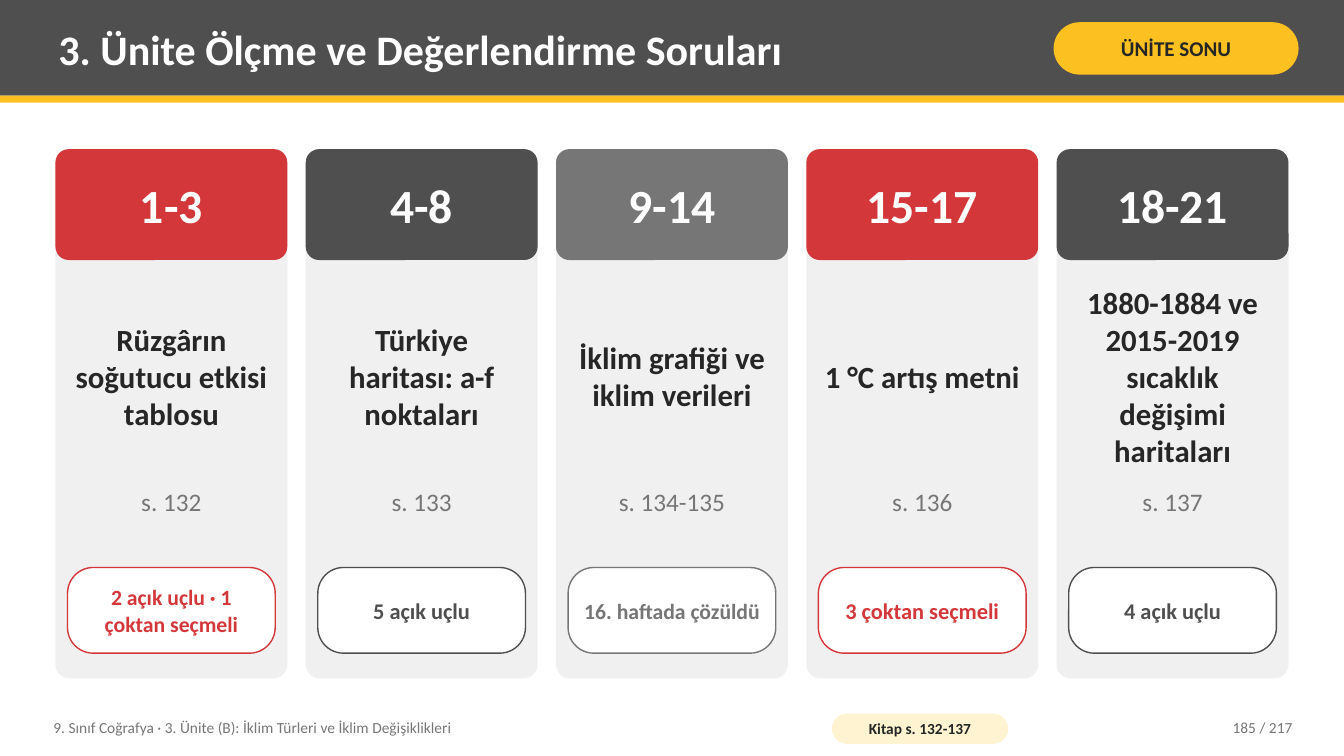
from pptx import Presentation
from pptx import util as u
from pptx.dml.color import RGBColor
from pptx.enum import shapes, text

WHITE = RGBColor(0xFF, 0xFF, 0xFF)
INK = RGBColor(0x26, 0x26, 0x26)
CHARCOAL = RGBColor(0x4F, 0x4F, 0x4F)
GRAY = RGBColor(0x76, 0x76, 0x76)
PALE_GRAY = RGBColor(0xF0, 0xF0, 0xF0)
RED = RGBColor(0xD3, 0x37, 0x3A)
YELLOW = RGBColor(0xFC, 0xC0, 0x21)
CREAM = RGBColor(0xFF, 0xF3, 0xD1)

LEFT, CENTER, RIGHT = text.PP_ALIGN.LEFT, text.PP_ALIGN.CENTER, text.PP_ALIGN.RIGHT
MIDDLE, TOP = text.MSO_ANCHOR.MIDDLE, text.MSO_ANCHOR.TOP

presentation = Presentation()
presentation.slide_width = u.Inches(13.33)
presentation.slide_height = u.Inches(7.5)
slide = presentation.slides.add_slide(presentation.slide_layouts[5])


def add_panel(box, fill, corner=None, outline=None):
    kind = shapes.MSO_SHAPE.RECTANGLE if corner is None else shapes.MSO_SHAPE.ROUNDED_RECTANGLE
    shape = slide.shapes.add_shape(kind, *map(u.Inches, box))
    shape.shadow.inherit = False
    if corner is not None:
        shape.adjustments[0] = corner
    shape.fill.solid()
    shape.fill.fore_color.rgb = fill
    if outline is None:
        shape.line.fill.background()
    else:
        shape.line.color.rgb = outline
        shape.line.width = u.Pt(1)
    return shape


def write(shape, content, size, color, bold=False, align=CENTER, anchor=MIDDLE, inset=(0.08, 0.04)):
    frame = shape.text_frame
    frame.text = content
    across, down = map(u.Inches, inset)
    frame_format = {
        "word_wrap": True, "auto_size": text.MSO_AUTO_SIZE.NONE, "vertical_anchor": anchor,
        "margin_left": across, "margin_right": across, "margin_top": down, "margin_bottom": down,
    }
    for name, value in frame_format.items():
        setattr(frame, name, value)
    paragraph = frame.paragraphs[0]
    paragraph.alignment = align
    font = paragraph.runs[0].font
    for name, value in {"name": "Calibri", "size": u.Pt(size), "bold": bold}.items():
        setattr(font, name, value)
    font.color.rgb = color


header = add_panel((0, 0, 13.33, 0.95), CHARCOAL)
add_panel((0, 0.95, 13.33, 0.07), YELLOW)

title = slide.shapes.title
title_place = {"left": 0.5, "top": 0.07, "width": 9.75, "height": 0.82}
for name, value in title_place.items():
    setattr(title, name, u.Inches(value))
write(title, "3. Ünite Ölçme ve Değerlendirme Soruları", 30, WHITE, bold=True, align=LEFT)
header.element.addnext(title.element)

unit_badge = add_panel((10.45, 0.22, 2.43, 0.52), YELLOW, corner=0.5)
write(unit_badge, "ÜNİTE SONU", 15, INK, bold=True, inset=(0.05, 0.02))

question_groups = [
    ("1-3", "Rüzgârın soğutucu etkisi tablosu", "s. 132", "2 açık uçlu · 1 çoktan seçmeli", 15.5, RED),
    ("4-8", "Türkiye haritası: a-f noktaları", "s. 133", "5 açık uçlu", 16, CHARCOAL),
    ("9-14", "İklim grafiği ve iklim verileri", "s. 134-135", "16. haftada çözüldü", 15.5, GRAY),
    ("15-17", "1 °C artış metni", "s. 136", "3 çoktan seçmeli", 16, RED),
    ("18-21", "1880-1884 ve 2015-2019 sıcaklık değişimi haritaları", "s. 137", "4 açık uçlu", 16, CHARCOAL),
]
FIRST_LEFT, LAST_LEFT, CARD_WIDTH = 0.55, 10.48, 2.3
card_pitch = (LAST_LEFT - FIRST_LEFT) / (len(question_groups) - 1)

for index, (numbers, topic, page, kinds, kinds_size, accent) in enumerate(question_groups):
    left = FIRST_LEFT + index * card_pitch
    add_panel((left, 1.48, CARD_WIDTH, 5.25), PALE_GRAY, corner=0.06)

    number_panel = add_panel((left, 1.48, CARD_WIDTH, 1.1), accent, corner=0.12)
    write(number_panel, numbers, 34, WHITE, bold=True, inset=(0.14, 0.08))

    topic_box = slide.shapes.add_textbox(*map(u.Inches, (left + 0.1, 2.73, 2.1, 2)))
    write(topic_box, topic, 22, INK, bold=True)

    page_box = slide.shapes.add_textbox(*map(u.Inches, (left + 0.1, 4.78, 2.1, 0.45)))
    write(page_box, page, 18, GRAY, anchor=TOP)

    kinds_panel = add_panel((left + 0.12, 5.63, 2.06, 0.85), WHITE, corner=0.3, outline=accent)
    write(kinds_panel, kinds, kinds_size, accent, bold=True, inset=(0.05, 0.08))

course_box = slide.shapes.add_textbox(*map(u.Inches, (0.45, 7.04, 7.6, 0.36)))
write(course_box, "9. Sınıf Coğrafya · 3. Ünite (B): İklim Türleri ve İklim Değişiklikleri", 11, GRAY, align=LEFT)

book_badge = add_panel((8.25, 7.08, 1.75, 0.3), CREAM, corner=0.5)
write(book_badge, "Kitap s. 132-137", 11, INK, bold=True, inset=(0.04, 0))

counter_box = slide.shapes.add_textbox(*map(u.Inches, (11.3, 7.04, 1.6, 0.36)))
write(counter_box, "185 / 217", 11, GRAY, align=RIGHT)

presentation.save("out.pptx")
